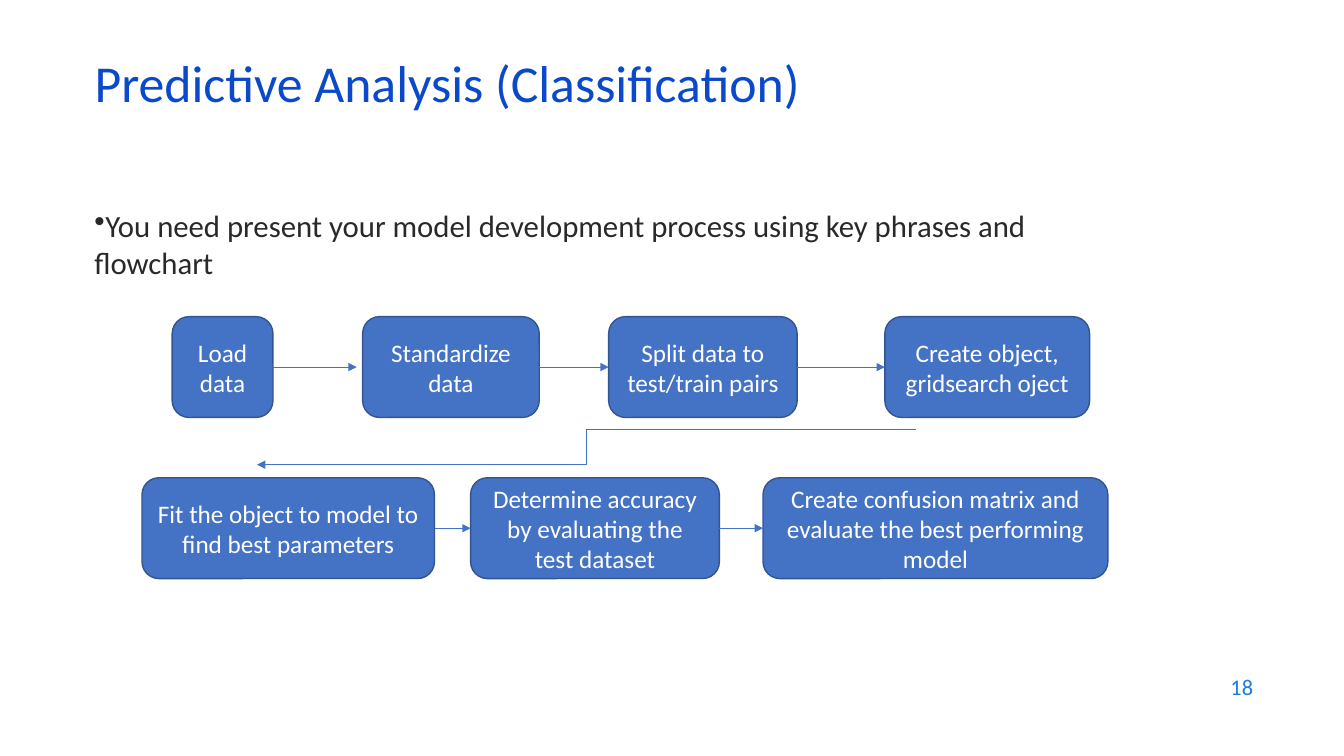
import pptx
import pptx.util
import pptx.dml.color
import pptx.enum.shapes
import pptx.enum.text
import pptx.oxml.ns
from lxml import etree

Cm = pptx.util.Cm
Pt = pptx.util.Pt
ALIGN = pptx.enum.text.PP_ALIGN
MIDDLE = pptx.enum.text.MSO_ANCHOR.MIDDLE
CONNECTOR = pptx.enum.shapes.MSO_CONNECTOR
BLUE = "4472C4"


def write(box, text, size, color, align):
    """Put one paragraph in a box and format it."""
    frame = box.text_frame
    frame.word_wrap = True
    frame.text = text
    para = frame.paragraphs[0]
    para.alignment = align
    font = para.runs[0].font
    font.name = "Calibri"
    font.size = Pt(size)
    font.color.rgb = pptx.dml.color.RGBColor.from_string(color)
    return para


def add_arrow(kind, begin_x, begin_y, end_x, end_y):
    """Draw a thin blue connector with a triangle at its end."""
    arrow = slide.shapes.add_connector(kind, begin_x, begin_y, end_x, end_y)
    arrow.line.color.rgb = pptx.dml.color.RGBColor.from_string(BLUE)
    arrow.line.width = Pt(0.5)
    head = etree.SubElement(arrow.line._get_or_add_ln(), pptx.oxml.ns.qn("a:tailEnd"))
    head.set("type", "triangle")
    etree.SubElement(arrow._element.spPr, pptx.oxml.ns.qn("a:effectLst"))
    return arrow


deck = pptx.Presentation()
deck.slide_width = Cm(33.87)
deck.slide_height = Cm(19.05)
slide = deck.slides.add_slide(deck.slide_layouts[5])

# Title
title = slide.shapes.title
title.left, title.top, title.width, title.height = Cm(2.13), Cm(1.5), Cm(29.21), Cm(1.52)
title.text_frame.vertical_anchor = MIDDLE
para = write(title, "Predictive Analysis (Classification)", 37, "0B49CB", ALIGN.LEFT)
para.line_spacing = 0.7

# Introductory bullet
intro = slide.shapes.add_textbox(Cm(2.13), Cm(5.08), Cm(27.08), Cm(2.2))
para = write(
    intro,
    "You need present your model development process using key phrases and flowchart",
    22, "292929", ALIGN.LEFT,
)
properties = para._p.get_or_add_pPr()
properties.set("marL", "0")
properties.set("indent", "0")
etree.SubElement(properties, pptx.oxml.ns.qn("a:buChar")).set("char", "•")

# Flowchart steps: top of each row, then left, width and text of each step
step_height = Cm(2.54)
rows = [
    (7.98, [
        (4.34, 2.54, "Load data"),
        (9.14, 4.45, "Standardize data"),
        (15.34, 4.75, "Split data to test/train pairs"),
        (22.3, 5.16, "Create object, gridsearch oject"),
    ]),
    (12.04, [
        (3.58, 7.37, "Fit the object to model to find best parameters"),
        (11.86, 6.27, "Determine accuracy by evaluating the test dataset"),
        (19.23, 8.69, "Create confusion matrix and evaluate the best performing model"),
    ]),
]
for top, steps in rows:
    previous = None
    for left, width, text in steps:
        step = slide.shapes.add_shape(
            pptx.enum.shapes.MSO_SHAPE.ROUNDED_RECTANGLE,
            Cm(left), Cm(top), Cm(width), step_height,
        )
        step.shadow.inherit = False
        step.fill.solid()
        step.fill.fore_color.rgb = pptx.dml.color.RGBColor.from_string(BLUE)
        step.line.color.rgb = pptx.dml.color.RGBColor.from_string("325491")
        step.line.width = Pt(1)
        step.text_frame.vertical_anchor = MIDDLE
        write(step, text, 18, "FFFFFF", ALIGN.CENTER)

        # Arrow from the previous step; the first one stops short of its target
        if previous is not None:
            middle = step.top + step_height // 2
            gap = Cm(0.15) if text == "Standardize data" else 0
            arrow = add_arrow(
                CONNECTOR.STRAIGHT,
                previous.left + previous.width, middle, step.left - gap, middle,
            )
            arrow.begin_connect(previous, 3)
            if not gap:
                arrow.end_connect(step, 1)
        previous = step

# Elbow arrow from the upper row to the lower row
add_arrow(CONNECTOR.ELBOW, Cm(23.09), Cm(10.82), Cm(6.48), Cm(11.71))

# Page number
number = slide.shapes.add_textbox(Cm(24.21), Cm(16.74), Cm(7.62), Cm(1.12))
number.text_frame.vertical_anchor = MIDDLE
write(number, "18", 16, "1C7DDB", ALIGN.RIGHT)

deck.save("out.pptx")
